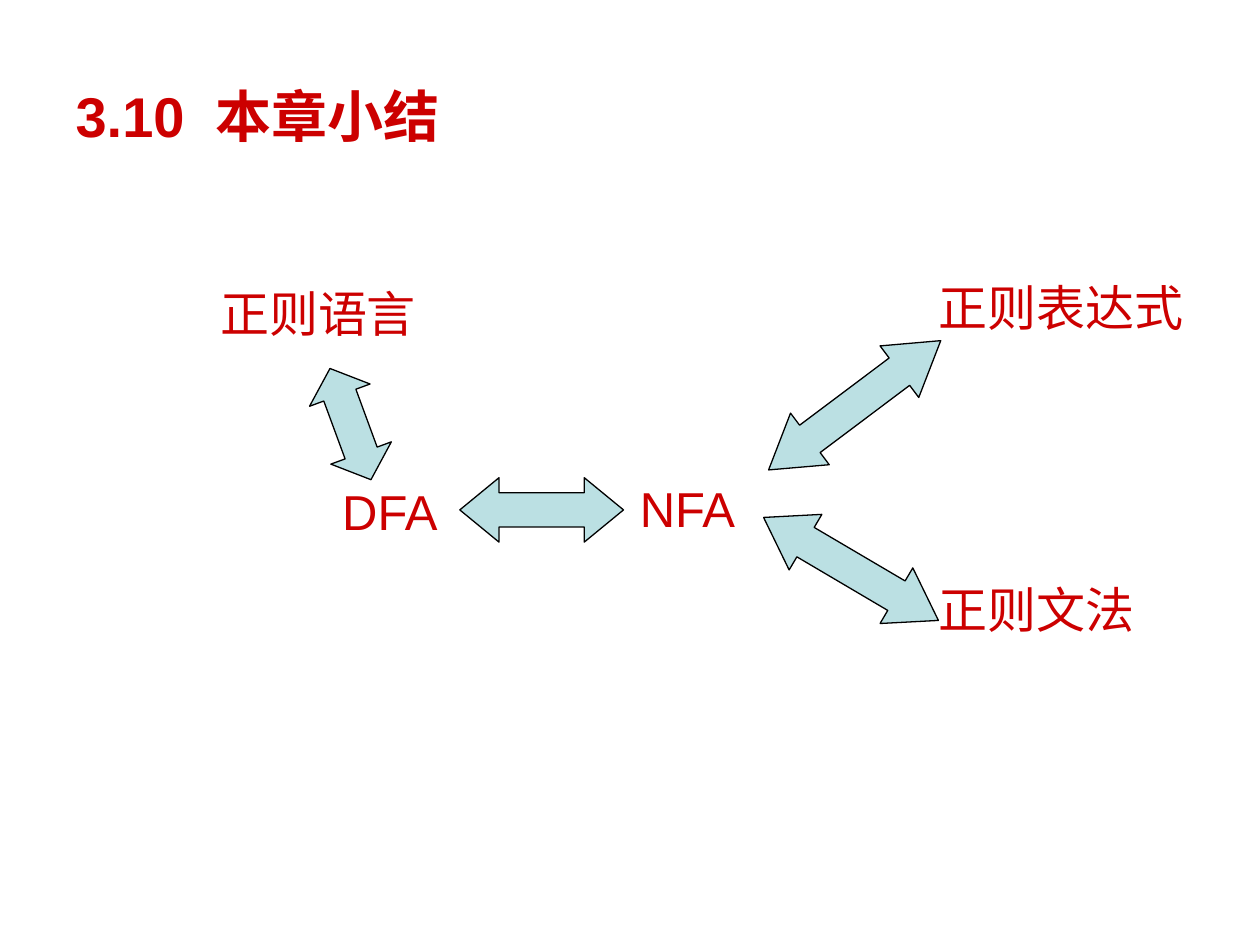
from dataclasses import dataclass

from pptx import Presentation
from pptx.dml.color import RGBColor
from pptx.enum.shapes import MSO_SHAPE
from pptx.enum.text import MSO_ANCHOR, MSO_AUTO_SIZE, PP_ALIGN
from pptx.slide import Slide
from pptx.util import Cm, Pt

DOUBLE_ARROW = MSO_SHAPE.LEFT_RIGHT_ARROW
MIDDLE = MSO_ANCHOR.MIDDLE
GROW = MSO_AUTO_SIZE.SHAPE_TO_FIT_TEXT
NO_FIT = MSO_AUTO_SIZE.NONE
LEFT = PP_ALIGN.LEFT
TITLE_ONLY = 5


@dataclass(frozen=True)
class Theme:
    font: str = "Arial"
    text: RGBColor = RGBColor(0xCC, 0x00, 0x00)
    arrow_fill: RGBColor = RGBColor(0xBB, 0xE0, 0xE3)
    arrow_line: RGBColor = RGBColor(0x00, 0x00, 0x00)
    title_size: Pt = Pt(32)
    label_size: Pt = Pt(28)
    line_width: Pt = Pt(0.75)


@dataclass(frozen=True)
class Label:
    text: str
    left: float
    top: float
    width: float


@dataclass(frozen=True)
class Arrow:
    left: float
    top: float
    width: float
    rotation: float = 0


THEME = Theme()

# Lengths in centimetres
LABEL_HEIGHT = 1.45
ARROW_HEIGHT = 1.3
SHAFT_SHARE = 0.53  # shaft thickness as a share of arrow height
HEAD_SHARE = 0.24  # head length as a share of arrow width

LABELS = [
    Label("正则语言", 4.19, 5.59, 4.47),
    Label("DFA", 6.65, 9.58, 2.49),
    Label("NFA", 12.65, 9.53, 2.49),
    Label("正则表达式", 18.67, 5.46, 5.46),
    Label("正则文法", 18.67, 11.56, 4.47),
]

ARROWS = [
    Arrow(5.87, 7.9, 2.39, 69.8),  # regular language - DFA
    Arrow(9.27, 9.63, 3.3),  # DFA - NFA
    Arrow(15.06, 7.52, 4.34, 323.1),  # NFA - regular expression
    Arrow(15.11, 10.82, 4.09, 30.5),  # NFA - regular grammar
]


def style_paragraph(paragraph, size: Pt, bold: bool = False) -> None:
    paragraph.alignment = LEFT
    font = paragraph.font
    font.name, font.size, font.bold = THEME.font, size, bold
    font.color.rgb = THEME.text


def add_title(slide: Slide, number: str, heading: str) -> None:
    title = slide.shapes.title
    title.left, title.top = Cm(1.27), Cm(1.27)
    title.width, title.height = Cm(15.88), Cm(2.11)
    frame = title.text_frame
    frame.vertical_anchor = MIDDLE
    frame.auto_size = NO_FIT
    paragraph = frame.paragraphs[0]
    for text in (number, " ", heading):
        run = paragraph.add_run()
        run.text = text
        if text == " ":
            # Character spacing widens the gap after the section number
            run.font._element.set("spc", "890")
    style_paragraph(paragraph, THEME.title_size, bold=True)


def add_label(slide: Slide, label: Label) -> None:
    box = slide.shapes.add_textbox(
        Cm(label.left), Cm(label.top), Cm(label.width), Cm(LABEL_HEIGHT)
    )
    frame = box.text_frame
    frame.word_wrap = False
    frame.auto_size = GROW
    frame.text = label.text
    style_paragraph(frame.paragraphs[0], THEME.label_size)


def add_arrow(slide: Slide, arrow: Arrow) -> None:
    shape = slide.shapes.add_shape(
        DOUBLE_ARROW,
        Cm(arrow.left), Cm(arrow.top), Cm(arrow.width), Cm(ARROW_HEIGHT),
    )
    shape.rotation = arrow.rotation
    shape.adjustments[0] = SHAFT_SHARE
    shape.adjustments[1] = HEAD_SHARE * arrow.width / ARROW_HEIGHT
    shape.shadow.inherit = False
    shape.fill.solid()
    shape.fill.fore_color.rgb = THEME.arrow_fill
    shape.line.color.rgb = THEME.arrow_line
    shape.line.width = THEME.line_width


def main() -> None:
    presentation = Presentation()
    presentation.slide_width, presentation.slide_height = Cm(25.4), Cm(19.05)
    slide = presentation.slides.add_slide(presentation.slide_layouts[TITLE_ONLY])

    add_title(slide, "3.10", "本章小结")

    # Equivalent formalisms and the conversions between them
    for label in LABELS:
        add_label(slide, label)
    for arrow in ARROWS:
        add_arrow(slide, arrow)

    presentation.save("out.pptx")


if __name__ == "__main__":
    main()
